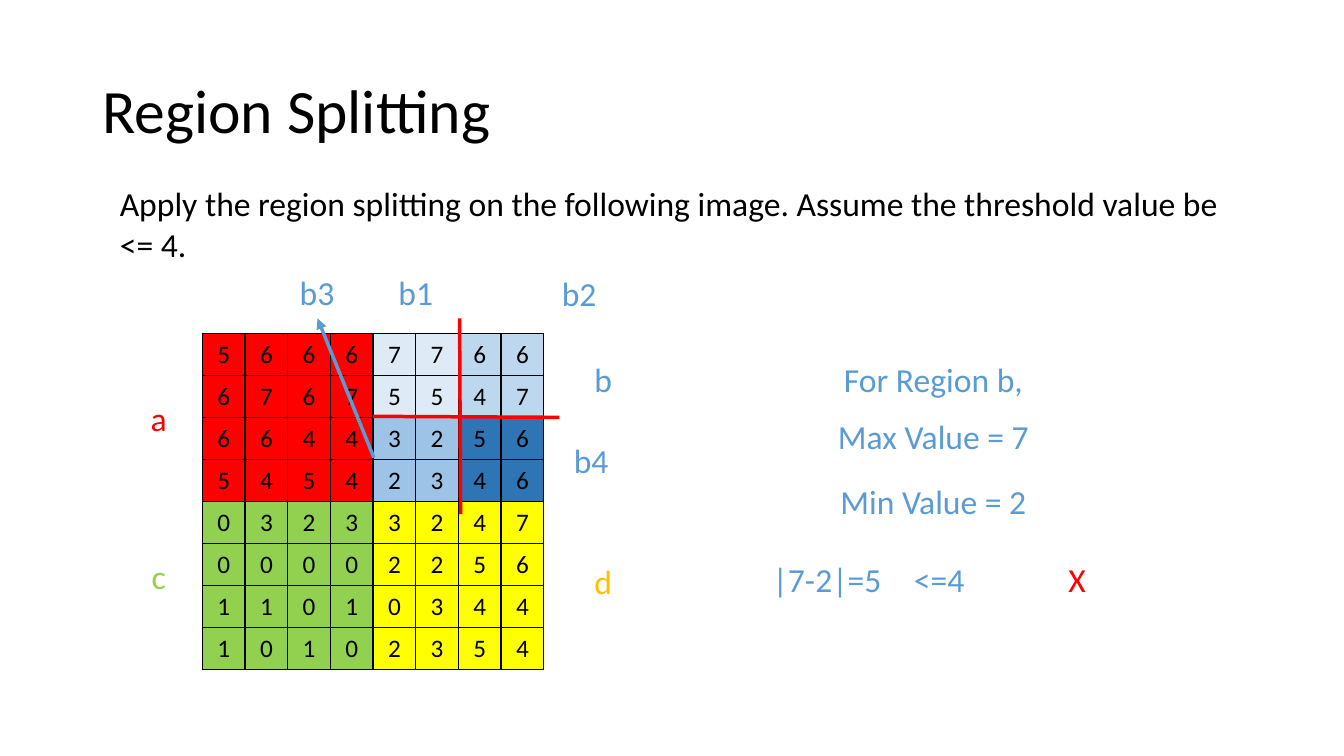
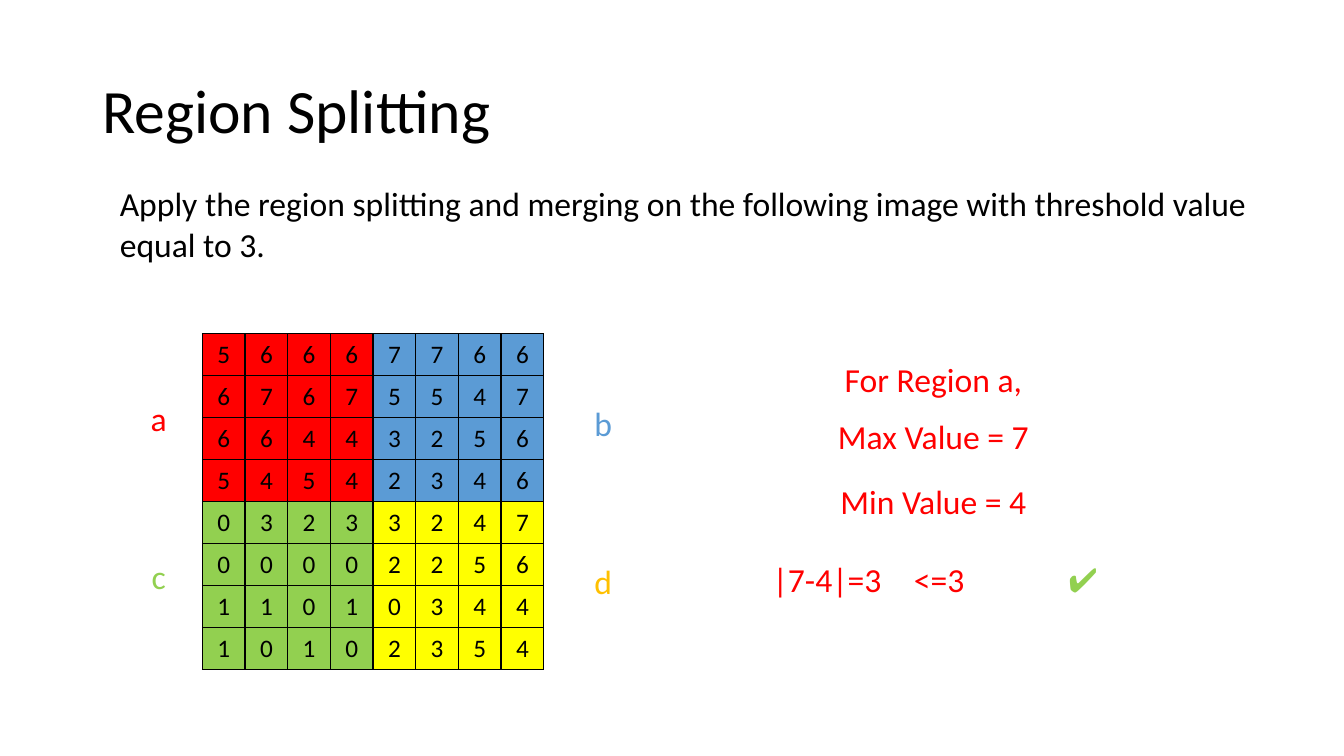
from lxml.etree import SubElement
from pptx import Presentation
from pptx.dml.color import RGBColor
from pptx.enum.shapes import MSO_CONNECTOR
from pptx.enum.text import MSO_ANCHOR, PP_ALIGN
from pptx.oxml.ns import qn
from pptx.util import Pt

# Shared look
FONT = "Calibri"
BLACK, RED, GREEN = "000000", "FF0000", "92D050"
BLUE, GOLD, YELLOW = "5B9BD5", "FFC000", "FFFF00"
SHADES = ["DEEBF7", "BDD7EE", "9DC3E6", "2E75B6"]

# Pixel grid
LEFT, TOP, WIDE, HIGH = 144.6, 238.4, 30.5, 30
PIXELS = ["56667766", "67675547", "66443256", "54542346",
          "03233247", "00002256", "11010344", "10102354"]


def color(code):
    return RGBColor.from_string(code)


def style(para, size, code, align):
    para.alignment = align
    for run in para.runs:
        run.font.name = FONT
        run.font.size = Pt(size)
        run.font.color.rgb = color(code)


def place(shape, left, top, width, height):
    shape.left, shape.top = Pt(left), Pt(top)
    shape.width, shape.height = Pt(width), Pt(height)


def head(slide, text):
    title = slide.shapes.title
    place(title, 66, 28.75, 828, 104.4)
    frame = title.text_frame
    frame.text = text
    frame.vertical_anchor = MSO_ANCHOR.MIDDLE
    para = frame.paragraphs[0]
    para.line_spacing = 0.9
    style(para, 44, BLACK, PP_ALIGN.LEFT)


def label(slide, text, left, top, width, code,
          align=PP_ALIGN.CENTER, height=36):
    box = slide.shapes.add_textbox(Pt(left), Pt(top), Pt(width), Pt(height))
    frame = box.text_frame
    frame.word_wrap = True
    frame.text = text
    style(frame.paragraphs[0], 24, code, align)


def border(cell):
    props = cell._tc.get_or_add_tcPr()
    for side in ("a:lnL", "a:lnR", "a:lnT", "a:lnB"):
        line = SubElement(props, qn(side), w=str(Pt(1)))
        fill = SubElement(line, qn("a:solidFill"))
        SubElement(fill, qn("a:srgbClr"), val=BLACK)


def region(row, col, blues):
    """Return the fill of a pixel; blues holds the four parts of region b."""
    if row < 4:
        return RED if col < 4 else blues[row // 2 * 2 + (col - 4) // 2]
    return GREEN if col < 4 else YELLOW


def grid(slide, blues):
    count = len(PIXELS)
    table = slide.shapes.add_table(
        count, count, Pt(LEFT), Pt(TOP),
        Pt(WIDE * count), Pt(HIGH * count)).table
    for band in table.columns:
        band.width = Pt(WIDE)
    for band in table.rows:
        band.height = Pt(HIGH)
    for row, digits in enumerate(PIXELS):
        for col, digit in enumerate(digits):
            cell = table.cell(row, col)
            cell.text = digit
            cell.vertical_anchor = MSO_ANCHOR.MIDDLE
            style(cell.text_frame.paragraphs[0], 18, BLACK, PP_ALIGN.CENTER)
            border(cell)
            cell.fill.solid()
            cell.fill.fore_color.rgb = color(region(row, col, blues))


def stroke(slide, start, end, code, arrow=False):
    line = slide.shapes.add_connector(
        MSO_CONNECTOR.STRAIGHT, *map(Pt, start + end))
    line.line.color.rgb = color(code)
    line.line.width = Pt(2.5)
    if arrow:
        SubElement(line.line._get_or_add_ln(), qn("a:tailEnd"),
                   type="triangle")
    SubElement(line._element.spPr, qn("a:effectLst"))


def check(slide, name, high, low, limit, code, mark, tint):
    """Write the range test of one region."""
    for text, top in ((f"For Region {name},", 252.7),
                      (f"Max Value = {high}", 293.8),
                      (f"Min Value = {low}", 339.8)):
        label(slide, text, 577.4, top, 178.6, code)
    label(slide, f"|{high}-{low}|={high - low}", 535.7, 396, 110.2, code)
    label(slide, f"<={limit}", 645.8, 396, 110.2, code, PP_ALIGN.LEFT)
    label(slide, mark, 756, 396, 40.3, tint, PP_ALIGN.LEFT)


def page(deck, task, blues, drop):
    """Add a slide with title, task, grid and the four region names."""
    slide = deck.slides.add_slide(deck.slide_layouts[5])
    head(slide, "Region Splitting")
    grid(slide, blues)
    label(slide, task, 78.5, 127.4, 819.4, BLACK, PP_ALIGN.LEFT, 65.5)
    for name, left, top, code in (("a", 90.7, 280.8, RED),
                                  ("b", 408.2, drop, BLUE),
                                  ("c", 90.7, 393.8, GREEN),
                                  ("d", 408.2, 397.4, GOLD)):
        label(slide, name, left, top, 45.4, code)
    return slide


def main():
    deck = Presentation()
    deck.slide_width, deck.slide_height = Pt(960), Pt(540)

    # Region b is split in four
    slide = page(deck, "Apply the region splitting on the following image. "
                 "Assume the threshold value be <= 4.", SHADES, 252.7)
    check(slide, "b", 7, 2, 4, BLUE, "X", RED)
    stroke(slide, (328.3, 227.5), (329, 367.2), RED)
    stroke(slide, (256.3 + 10, 297.4), (399.6, 298.1), RED)
    for name, left, top in (("b1", 274.3, 190.8), ("b2", 391, 191.5),
                            ("b3", 203.8, 190.8), ("b4", 399.6, 311)):
        label(slide, name, left, top, 45.4, BLUE)
    stroke(slide, (267.1, 326.9), (226.8, 227.5), BLUE, arrow=True)

    # Region a stays whole
    slide = page(deck, "Apply the region splitting and merging on the "
                 "following image with threshold value equal to 3.",
                 [BLUE] * 4, 284.4)
    check(slide, "a", 7, 4, 3, RED, "✔", GREEN)

    deck.save("out.pptx")


if __name__ == "__main__":
    main()
